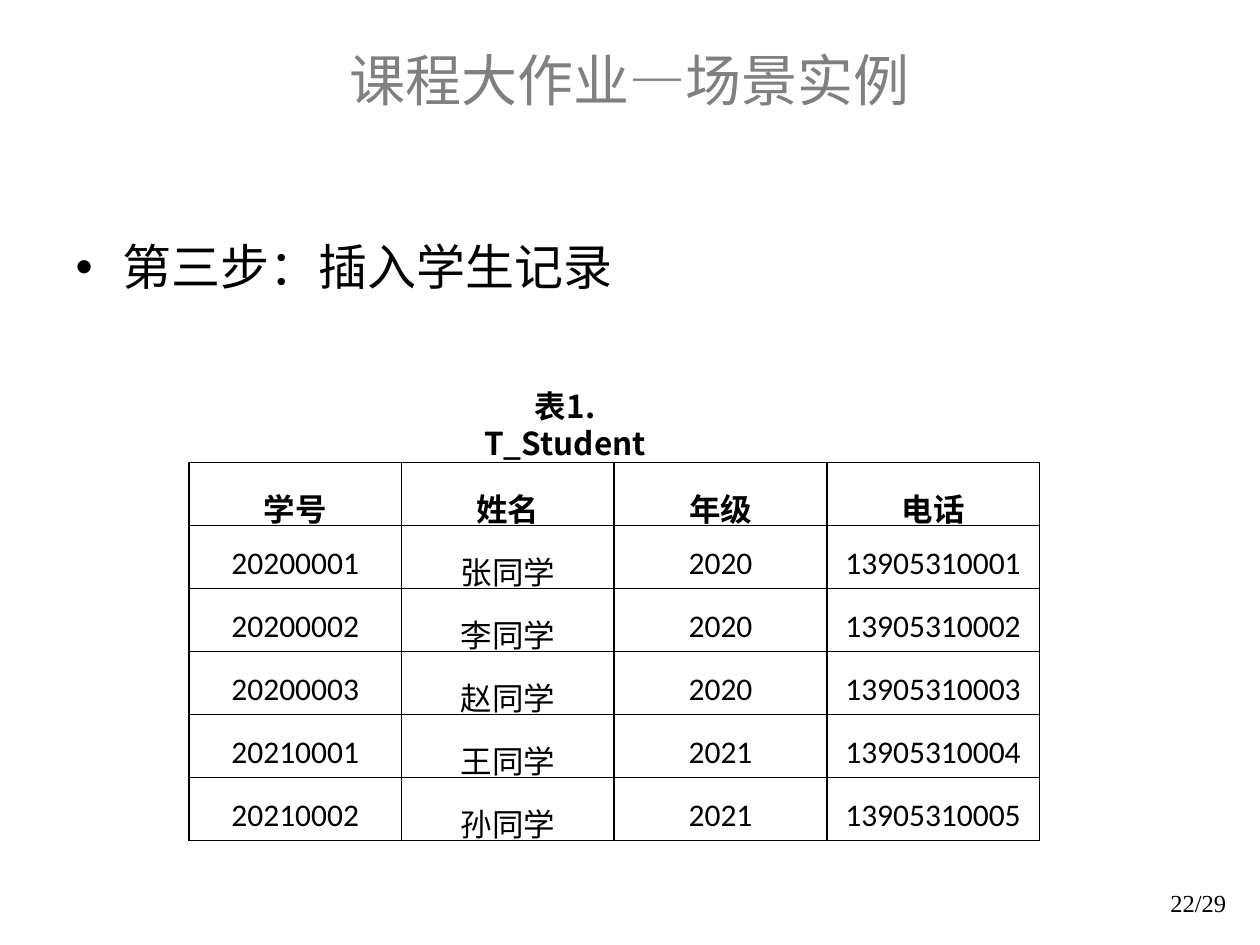
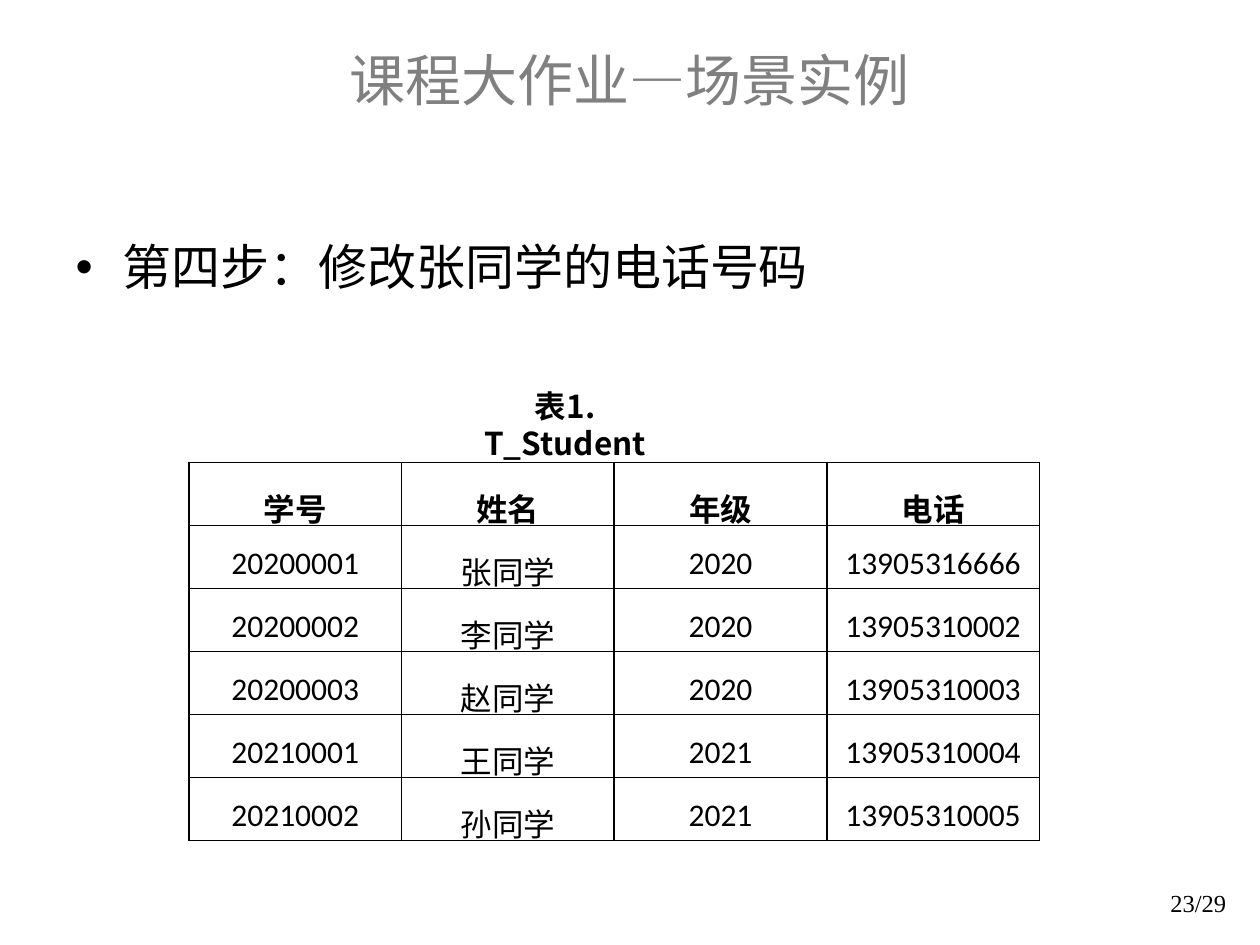
from dataclasses import dataclass

from lxml import etree
from pptx import Presentation
from pptx.dml.color import RGBColor
from pptx.enum.text import MSO_ANCHOR, PP_ALIGN
from pptx.oxml.ns import qn
from pptx.util import Inches, Pt

BLACK = RGBColor(0x00, 0x00, 0x00)
GRAY = RGBColor(0x80, 0x80, 0x80)
CENTER = PP_ALIGN.CENTER
RIGHT = PP_ALIGN.RIGHT
MIDDLE = MSO_ANCHOR.MIDDLE
TOP = MSO_ANCHOR.TOP

TITLE = "课程大作业—场景实例"
CAPTION = "表1. T_Student"
TOTAL_PAGES = 29
HEADER = ("学号", "姓名", "年级", "电话")
STUDENTS = (
    ("20200001", "张同学", "2020", "13905310001"),
    ("20200002", "李同学", "2020", "13905310002"),
    ("20200003", "赵同学", "2020", "13905310003"),
    ("20210001", "王同学", "2021", "13905310004"),
    ("20210002", "孙同学", "2021", "13905310005"),
)
NEW_PHONE = "13905316666"


@dataclass(frozen=True)
class Box:
    left: float
    top: float
    width: float
    height: float

    def lengths(self) -> tuple:
        return tuple(Inches(value) for value in (self.left, self.top, self.width, self.height))

    def place(self, shape) -> None:
        shape.left, shape.top, shape.width, shape.height = self.lengths()


@dataclass(frozen=True)
class TextStyle:
    font: str
    size: int
    color: RGBColor = BLACK
    bold: bool = False


@dataclass(frozen=True)
class Step:
    page: int
    text: str
    students: tuple


TITLE_BOX = Box(0.75, 0, 8.5, 1.25)
BODY_BOX = Box(0.5, 1.83, 8.92, 4.75)
PAGE_BOX = Box(7.75, 7, 2.08, 0.5)
TABLE_BOX = Box(1.5, 3.67, 6.75, 3)
CAPTION_BOX = Box(3.75, 3, 1.99, 0.4)

TITLE_STYLE = TextStyle("Arial", 32, GRAY)
BODY_STYLE = TextStyle("Arial", 28)
PAGE_STYLE = TextStyle("Times New Roman", 14)
HEADER_STYLE = TextStyle("Calibri", 18, bold=True)
CELL_STYLE = TextStyle("Calibri", 18)
CAPTION_STYLE = TextStyle("Noto Sans CJK SC", 18, bold=True)

STEPS = (
    Step(22, "第三步：插入学生记录", STUDENTS),
    Step(23, "第四步：修改张同学的电话号码", (STUDENTS[0][:3] + (NEW_PHONE,),) + STUDENTS[1:]),
)


def write(text_frame, text: str, style: TextStyle, alignment=None):
    text_frame.text = text
    paragraph = text_frame.paragraphs[0]
    if alignment is not None:
        paragraph.alignment = alignment
    font = paragraph.runs[0].font
    font.name = style.font
    font.size = Pt(style.size)
    font.bold = style.bold
    font.color.rgb = style.color
    return paragraph


def add_text(slide, box: Box, text: str, style: TextStyle, alignment):
    text_box = slide.shapes.add_textbox(*box.lengths())
    text_box.text_frame.word_wrap = True
    write(text_box.text_frame, text, style, alignment)
    return text_box.text_frame


def add_borders(cell) -> None:
    properties = cell._tc.get_or_add_tcPr()
    for index, side in enumerate(("a:lnL", "a:lnR", "a:lnT", "a:lnB")):
        line = etree.Element(qn(side), w=str(Pt(1)))
        fill = etree.SubElement(line, qn("a:solidFill"))
        etree.SubElement(fill, qn("a:srgbClr"), val=str(BLACK))
        properties.insert(index, line)


def add_student_table(slide, students: tuple) -> None:
    rows = (HEADER,) + students
    table = slide.shapes.add_table(len(rows), len(HEADER), *TABLE_BOX.lengths()).table
    table.horz_banding = False
    for row_index, row in enumerate(rows):
        style = CELL_STYLE if row_index else HEADER_STYLE
        for column_index, text in enumerate(row):
            cell = table.cell(row_index, column_index)
            cell.fill.background()
            cell.margin_left = cell.margin_right = Inches(0.07)
            cell.margin_top = cell.margin_bottom = 0
            write(cell.text_frame, text, style, CENTER).line_spacing = 1.5
            add_borders(cell)


def add_caption(slide) -> None:
    text_frame = add_text(slide, CAPTION_BOX, CAPTION, CAPTION_STYLE, CENTER)
    text_frame.margin_left = Inches(0.05)
    text_frame.margin_right = Inches(0.57)
    text_frame.margin_top = Inches(0.08)
    paragraph = text_frame.paragraphs[0]
    paragraph.line_spacing = Pt(21)
    properties = paragraph.runs[0].font._element
    etree.SubElement(properties, qn("a:ea"), typeface=CAPTION_STYLE.font)


def add_step_slide(presentation, step: Step) -> None:
    slide = presentation.slides.add_slide(presentation.slide_layouts[1])
    title, body = slide.shapes.title, slide.placeholders[1]
    TITLE_BOX.place(title)
    title.text_frame.vertical_anchor = MIDDLE
    write(title.text_frame, TITLE, TITLE_STYLE, CENTER)
    BODY_BOX.place(body)
    body.text_frame.vertical_anchor = TOP
    write(body.text_frame, step.text, BODY_STYLE)
    add_text(slide, PAGE_BOX, f"{step.page}/{TOTAL_PAGES}", PAGE_STYLE, RIGHT)
    add_student_table(slide, step.students)
    add_caption(slide)


def main() -> None:
    presentation = Presentation()
    presentation.slide_width = Inches(10)
    presentation.slide_height = Inches(7.5)
    for step in STEPS:
        add_step_slide(presentation, step)
    presentation.save("out.pptx")


if __name__ == "__main__":
    main()
